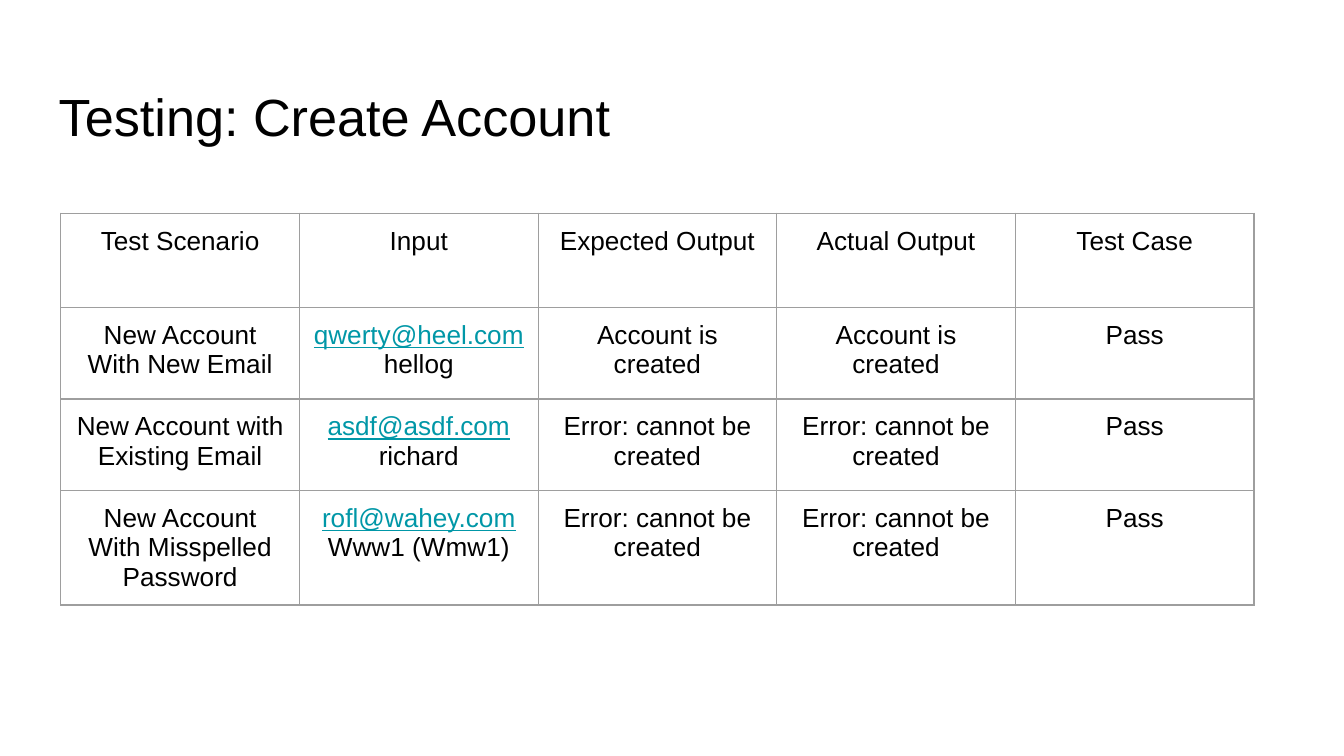
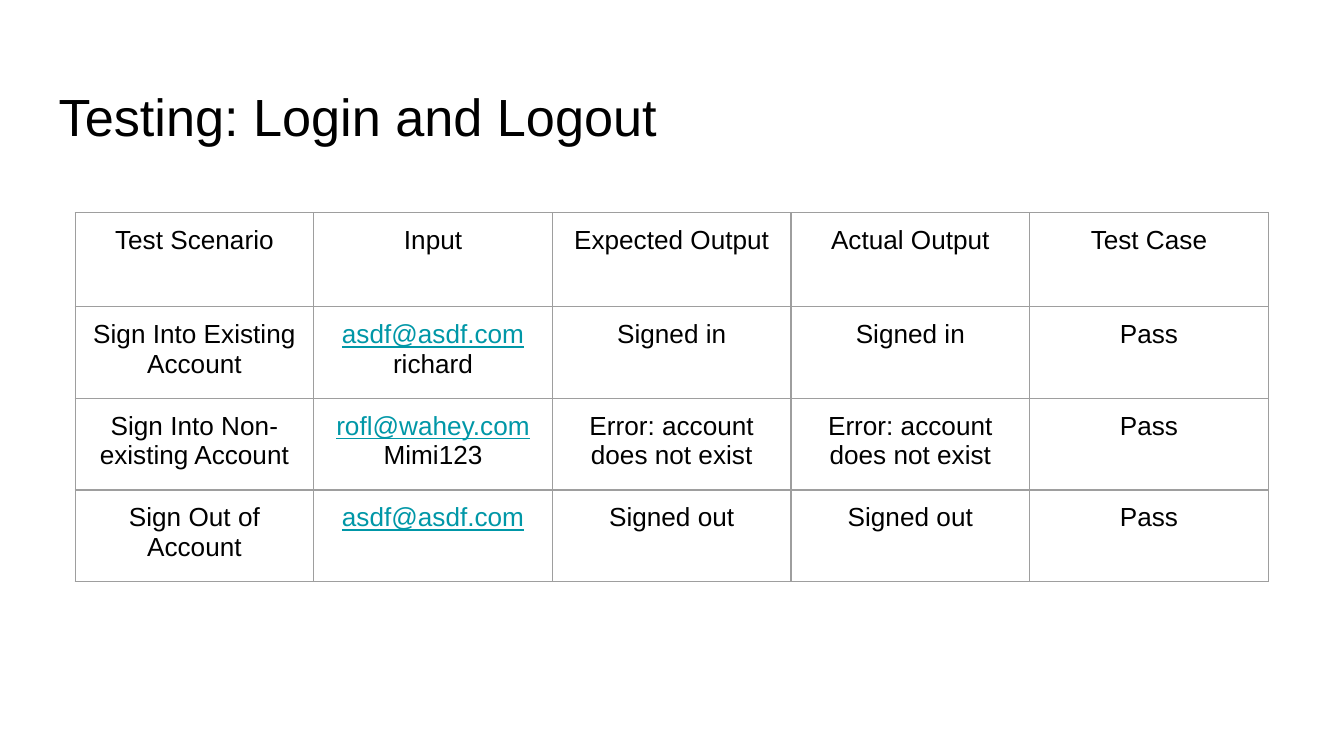
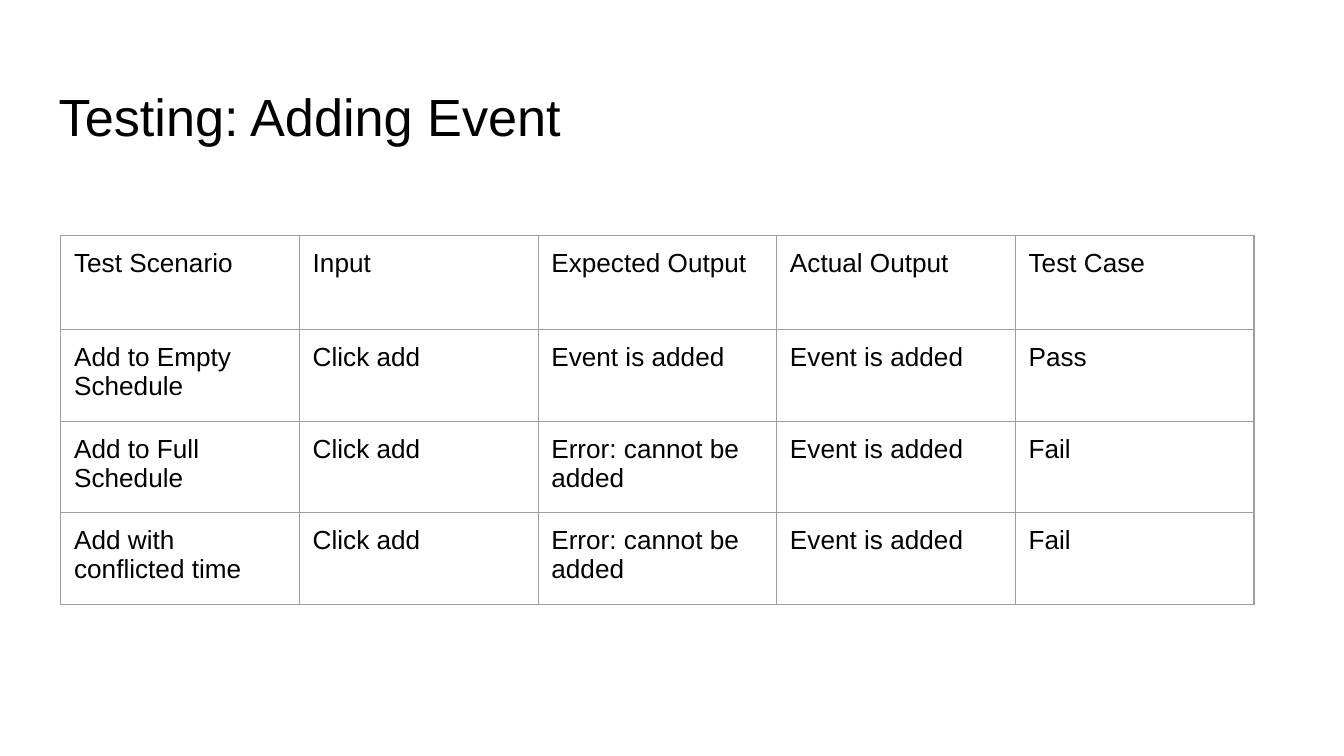
from lxml.etree import SubElement
from pptx import Presentation
from pptx.dml.color import RGBColor
from pptx.enum.text import MSO_ANCHOR, MSO_AUTO_SIZE, PP_ALIGN
from pptx.oxml.ns import qn
from pptx.util import Cm, Pt

# Content
HEADER = ("Test Scenario", "Input", "Expected Output", "Actual Output", "Test Case")
TEST_SLIDES = [
    {
        "title": "Testing: Create Account",
        "left": 1.15, "top": 4.03, "align": PP_ALIGN.CENTER,
        "tests": [
            ("New Account With New Email", "qwerty@heel.com\nhellog",
             "Account is created", "Account is created", "Pass"),
            ("New Account with Existing Email", "asdf@asdf.com\nrichard",
             "Error: cannot be created", "Error: cannot be created", "Pass"),
            ("New Account With Misspelled Password", "rofl@wahey.com\nWww1 (Wmw1)",
             "Error: cannot be created", "Error: cannot be created", "Pass"),
        ],
    },
    {
        "title": "Testing: Login and Logout",
        "left": 1.42, "top": 4.02, "align": PP_ALIGN.CENTER,
        "tests": [
            ("Sign Into Existing Account", "asdf@asdf.com\nrichard",
             "Signed in", "Signed in", "Pass"),
            ("Sign Into Non-existing Account", "rofl@wahey.com\nMimi123",
             "Error: account does not exist", "Error: account does not exist", "Pass"),
            ("Sign Out of Account", "asdf@asdf.com",
             "Signed out", "Signed out", "Pass"),
        ],
    },
    {
        "title": "Testing: Adding Event",
        "left": 1.15, "top": 4.45, "align": PP_ALIGN.LEFT,
        "tests": [
            ("Add to Empty Schedule", "Click add",
             "Event is added", "Event is added", "Pass"),
            ("Add to Full Schedule", "Click add",
             "Error: cannot be added", "Event is added", "Fail"),
            ("Add with conflicted time", "Click add",
             "Error: cannot be added", "Event is added", "Fail"),
        ],
    },
]

# Shared style
FONT = "Arial"
BLACK = RGBColor(0x00, 0x00, 0x00)
TEAL = RGBColor(0x00, 0x97, 0xA7)
GREY = RGBColor(0x9E, 0x9E, 0x9E)
TITLE_ONLY = 5
COLUMN_WIDTH = Cm(4.51)
HEADER_HEIGHT = Cm(1.78)
ROW_HEIGHT = Cm(1.73)
INSET = Cm(0.25)


def style_paragraph(paragraph, size, color, align):
    paragraph.alignment = align
    paragraph.font.name = FONT
    paragraph.font.size = Pt(size)
    paragraph.font.color.rgb = color


def add_title(slide, text):
    title = slide.shapes.title
    title.left, title.top, title.width, title.height = Cm(0.86), Cm(1.24), Cm(23.67), Cm(1.6)
    frame = title.text_frame
    frame.text = text
    frame.auto_size = MSO_AUTO_SIZE.NONE
    frame.vertical_anchor = MSO_ANCHOR.TOP
    frame.margin_left = frame.margin_right = INSET
    frame.margin_top, frame.margin_bottom = Cm(0.35), Cm(0.1)
    style_paragraph(frame.paragraphs[0], 28, BLACK, PP_ALIGN.LEFT)


def add_borders(cell):
    properties = cell._tc.get_or_add_tcPr()
    for position, side in enumerate(("lnL", "lnR", "lnT", "lnB")):
        line = SubElement(properties, qn(f"a:{side}"), w=str(Pt(0.75)))
        fill = SubElement(line, qn("a:solidFill"))
        SubElement(fill, qn("a:srgbClr"), val=str(GREY))
        properties.insert(position, line)


def fill_cell(cell, text, align):
    cell.text = text
    cell.fill.background()
    cell.margin_left = cell.margin_right = INSET
    cell.margin_top = cell.margin_bottom = INSET
    for paragraph in cell.text_frame.paragraphs:
        is_email = "@" in paragraph.text
        style_paragraph(paragraph, 14, TEAL if is_email else BLACK, align)
        if is_email:
            paragraph.font.underline = True
    add_borders(cell)


def add_test_table(slide, tests, left, top, align):
    rows = [HEADER, *tests]
    heights = [HEADER_HEIGHT] + [ROW_HEIGHT] * len(tests)
    table = slide.shapes.add_table(
        len(rows), len(HEADER), Cm(left), Cm(top),
        COLUMN_WIDTH * len(HEADER), sum(heights),
    ).table
    table.first_row = table.horz_banding = False
    for column in table.columns:
        column.width = COLUMN_WIDTH
    for row, height, texts in zip(table.rows, heights, rows):
        row.height = height
        for cell, text in zip(row.cells, texts):
            fill_cell(cell, text, align)


def main():
    presentation = Presentation()
    presentation.slide_width, presentation.slide_height = Cm(25.4), Cm(14.29)
    for content in TEST_SLIDES:
        slide = presentation.slides.add_slide(presentation.slide_layouts[TITLE_ONLY])
        add_title(slide, content["title"])
        add_test_table(slide, content["tests"], content["left"], content["top"],
                       content["align"])
    presentation.save("out.pptx")


if __name__ == "__main__":
    main()
